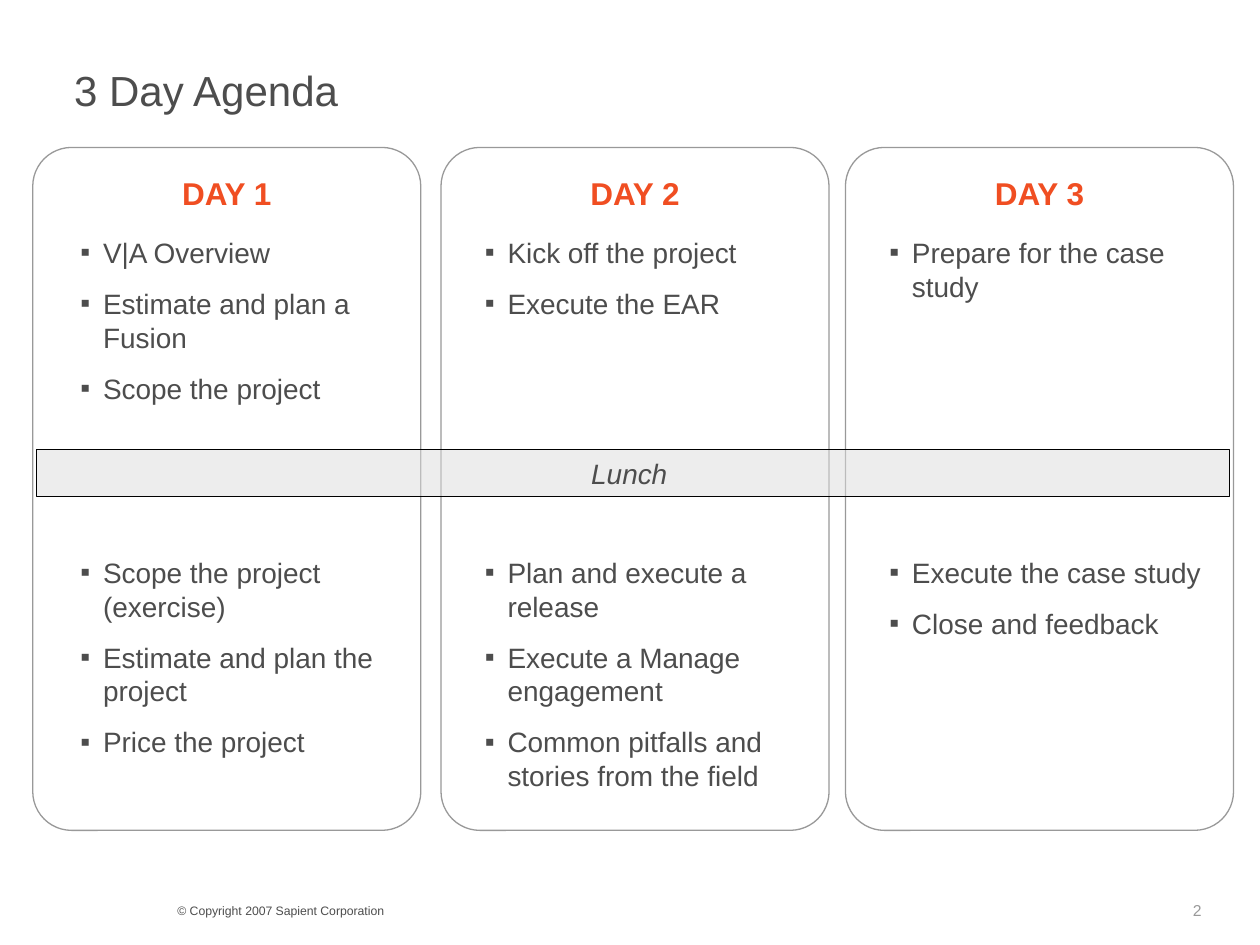
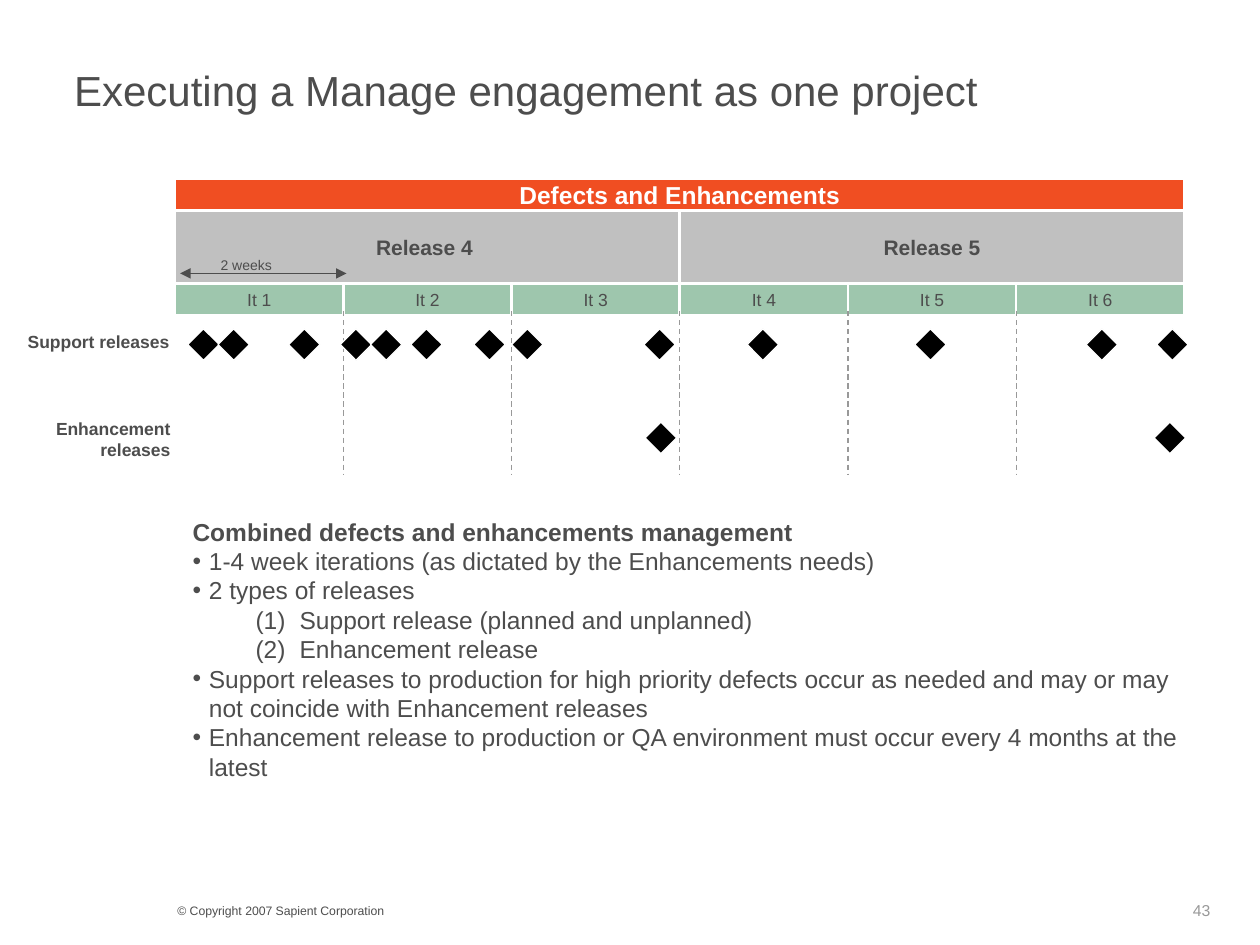
from dataclasses import dataclass

from lxml.etree import SubElement
from pptx import Presentation
from pptx.dml.color import RGBColor
from pptx.enum.dml import MSO_LINE
from pptx.enum.shapes import MSO_CONNECTOR, MSO_SHAPE
from pptx.enum.text import MSO_ANCHOR, PP_ALIGN
from pptx.oxml.ns import qn
from pptx.util import Emu, Inches, Pt

FONT = "Arial"
TEXT, ORANGE, WHITE, BLACK = "4D4D4D", "F04E22", "FFFFFF", "000000"
RULE, SILVER, GREEN, PALE = "999999", "C0C0C0", "9EC6AD", "DDDDDD"
SLIDE_WIDTH, SLIDE_HEIGHT = Inches(10), Inches(7.5)
COLUMN, ROW = SLIDE_WIDTH / 100, SLIDE_HEIGHT / 75
COPYRIGHT = "© Copyright 2007 Sapient Corporation"

DAYS = [
    ("DAY 1",
     ["V|A Overview", "Estimate and plan a Fusion", "Scope the project"],
     ["Scope the project (exercise)", "Estimate and plan the project", "Price the project"]),
    ("DAY 2",
     ["Kick off the project", "Execute the EAR"],
     ["Plan and execute a release", "Execute a Manage engagement",
      "Common pitfalls and stories from the field"]),
    ("DAY 3",
     ["Prepare for the case study"],
     ["Execute the case study", "Close and feedback"]),
]
PANEL_LEFTS = [0, 32.4, 64.5]
DAY_PITCH = 32.1

RELEASES = ["Release 4 ", "Release 5"]
ITERATIONS = 6
SUPPORT_DATES = [1, 3.4, 9, 13.1, 15.5, 18.7, 23.7, 26.7, 37.2, 45.4, 58.7, 72.3, 77.9]
ENHANCEMENT_DATES = [37.3, 77.7]
NOTES = [
    ("Combined defects and enhancements management", "heading"),
    ("1-4 week iterations (as dictated by the Enhancements needs)", "bullet"),
    ("2 types of releases", "bullet"),
    ("Support release (planned and unplanned)", "number"),
    ("Enhancement release", "number"),
    ("Support releases to production for high priority defects occur as needed "
     "and may or may not coincide with Enhancement releases", "bullet"),
    ("Enhancement release to production or QA environment must occur "
     "every 4 months at the latest", "bullet"),
]


@dataclass
class Box:
    """A region measured in grid columns and rows."""
    left: float
    top: float
    width: float
    height: float

    def inside(self, left, top, width, height):
        """Return a box placed relative to this one."""
        return Box(self.left + left, self.top + top, width, height)

    def lengths(self):
        """Return left, top, width and height for a new shape."""
        return [Emu(round(value)) for value in (self.left * COLUMN, self.top * ROW,
                                                self.width * COLUMN, self.height * ROW)]


def rgb(color):
    """Turn a hex string into a colour."""
    return RGBColor.from_string(color)


def set_text(shape, lines, size, color=TEXT, bold=False, italic=False,
             align=PP_ALIGN.LEFT, anchor=MSO_ANCHOR.TOP, wrap=True):
    """Fill a shape with paragraphs of one style."""
    frame = shape.text_frame
    frame.word_wrap = wrap
    frame.vertical_anchor = anchor
    frame.text = "\n".join(lines)
    for paragraph in frame.paragraphs:
        paragraph.alignment = align
        for run in paragraph.runs:
            font = run.font
            font.name, font.size, font.bold, font.italic = FONT, Pt(size), bold, italic
            font.color.rgb = rgb(color)
    return frame


def add_text(slide, box, lines, size, **style):
    """Add a text box and return its text frame."""
    return set_text(slide.shapes.add_textbox(*box.lengths()), lines, size, **style)


def add_block(slide, kind, box, fill, line, line_width):
    """Add a preset shape with its fill and outline."""
    shape = slide.shapes.add_shape(kind, *box.lengths())
    shape.shadow.inherit = False
    if fill:
        shape.fill.solid()
        shape.fill.fore_color.rgb = rgb(fill)
    else:
        shape.fill.background()
    shape.line.color.rgb = rgb(line)
    shape.line.width = Pt(line_width)
    return shape


def add_label_block(slide, box, label, size, fill, **style):
    """Add a white-edged rectangle with a centred label."""
    block = add_block(slide, MSO_SHAPE.RECTANGLE, box, fill, WHITE, 1.5)
    set_text(block, [label], size, align=PP_ALIGN.CENTER, anchor=MSO_ANCHOR.MIDDLE, **style)


def add_line(slide, box, color):
    """Add a thin connector across a box without thickness."""
    left, top, width, height = box.lengths()
    line = slide.shapes.add_connector(MSO_CONNECTOR.STRAIGHT, left, top, left + width, top + height)
    line.line.color.rgb = rgb(color)
    line.line.width = Pt(0.75)
    SubElement(line._element.spPr, qn("a:effectLst"))
    return line


def set_list(paragraph, margin, hanging, character=None):
    """Give a paragraph a hanging bullet, or a number in brackets."""
    properties = paragraph._p.get_or_add_pPr()
    properties.set("marL", str(Inches(margin)))
    properties.set("indent", str(-Inches(hanging)))
    color = SubElement(properties, qn("a:buClr"))
    SubElement(color, qn("a:srgbClr"), val=TEXT)
    if character:
        SubElement(properties, qn("a:buFont"), typeface=FONT)
        SubElement(properties, qn("a:buChar"), char=character)
    else:
        SubElement(properties, qn("a:buAutoNum"), type="arabicParenBoth")


def add_base_slide(presentation, title, number):
    """Add a blank slide with title, copyright line and page number."""
    slide = presentation.slides.add_slide(presentation.slide_layouts[6])
    add_text(slide, Box(13.1, 71.2, 40, 2.2), [COPYRIGHT], 7)
    add_text(slide, Box(93.7, 71, 6.3, 2.4), [str(number)], 9, color=RULE)
    add_text(slide, Box(4.9, 4.4, 90.1, 5.5), [title], 24, anchor=MSO_ANCHOR.MIDDLE)
    return slide


def add_activities(slide, box, activities):
    """Add the bulleted activities of half a day."""
    frame = add_text(slide, box, activities, 16)
    for index, paragraph in enumerate(frame.paragraphs):
        set_list(paragraph, 0.18, 0.18, "▪")
        paragraph.space_before = Pt(10 if index else 0)


def add_agenda(slide, box):
    """Add one panel per day and the lunch band across them."""
    panels = [box.inside(left, 0, 30.8, box.height) for left in PANEL_LEFTS]
    for panel, (day, _, _) in zip(panels, DAYS):
        outline = add_block(slide, MSO_SHAPE.ROUNDED_RECTANGLE, panel, None, RULE, 0.75)
        outline.adjustments[0] = 0.1
        add_text(slide, panel.inside(0, 1.6, panel.width, 4.1), [day], 18,
                 color=ORANGE, bold=True, align=PP_ALIGN.CENTER)

    lunch = add_block(slide, MSO_SHAPE.RECTANGLE, box.inside(0.3, 24, 94.7, 3.7), PALE, BLACK, 0.75)
    fill_color = lunch._element.spPr.find(qn("a:solidFill"))[0]
    SubElement(fill_color, qn("a:alpha"), val="50000")
    set_text(lunch, ["Lunch "], 16, italic=True, align=PP_ALIGN.CENTER, anchor=MSO_ANCHOR.MIDDLE)

    for index, (_, morning, afternoon) in enumerate(DAYS):
        left = 2.8 + index * DAY_PITCH
        add_activities(slide, box.inside(left, 6.5, 28.3, 17), morning)
        add_activities(slide, box.inside(left, 31.9, 28.3, 20), afternoon)


def add_schedule(slide, box):
    """Add the header bands of releases and iterations."""
    release_width = box.width / len(RELEASES)
    for index, release in enumerate(RELEASES):
        add_label_block(slide, box.inside(index * release_width, 2.5, release_width, 5.8),
                        release, 12, SILVER, bold=True)
    add_label_block(slide, box.inside(0, 0, box.width, 2.5), "Defects and Enhancements", 14,
                    ORANGE, color=WHITE, bold=True)
    iteration_width = box.width / ITERATIONS
    for index in range(ITERATIONS):
        left = index * iteration_width
        add_label_block(slide, box.inside(left, 8.3, iteration_width, 2.5),
                        f"It {index + 1}", 10, GREEN)
        if index:
            divider = add_line(slide, box.inside(left, 10.5, 0, 12.9), RULE)
            divider.line.dash_style = MSO_LINE.DASH

    arrow = add_line(slide, box.inside(0.4, 7.5, 13.2, 0), TEXT)
    outline = arrow.line._get_or_add_ln()
    for end in ("a:headEnd", "a:tailEnd"):
        SubElement(outline, qn(end), type="triangle")
    add_text(slide, box.inside(2.6, 5.7, 6.1, 2.4), ["2 weeks"], 8,
             align=PP_ALIGN.CENTER, wrap=False)


def add_milestones(slide, box, label, label_box, dates):
    """Add a row label and a diamond for each release date."""
    add_text(slide, box.inside(*label_box), label, 10, bold=True, align=PP_ALIGN.RIGHT, wrap=False)
    for date in dates:
        add_block(slide, MSO_SHAPE.DIAMOND, box.inside(date, 0, 2.5, 2.5), BLACK, WHITE, 0.75)


def add_notes_text(slide, box):
    """Add the explanation below the schedule."""
    frame = add_text(slide, box, [text for text, _ in NOTES], 14)
    for paragraph, (_, role) in zip(frame.paragraphs, NOTES):
        if role == "heading":
            paragraph.runs[0].font.bold = True
        elif role == "bullet":
            set_list(paragraph, 0.13, 0.13, "•")
        else:
            paragraph.level = 1
            set_list(paragraph, 0.85, 0.35)


def main():
    """Build both slides and save the presentation."""
    presentation = Presentation()
    presentation.slide_width, presentation.slide_height = SLIDE_WIDTH, SLIDE_HEIGHT

    agenda = add_base_slide(presentation, "3 Day Agenda", 2)
    add_agenda(agenda, Box(2.6, 11.7, 95.3, 54.2))

    engagement = add_base_slide(presentation, "Executing a Manage engagement as one project", 43)
    schedule = Box(13.9, 14.2, 80.1, 23.4)
    add_schedule(engagement, schedule)
    add_milestones(engagement, schedule.inside(0, 11.9, 80.1, 2.5), ["Support releases "],
                   (-12.7, -0.3, 13.6, 2.7), SUPPORT_DATES)
    add_milestones(engagement, schedule.inside(0, 19.3, 80.1, 2.5), ["Enhancement ", "releases"],
                   (-10.8, -0.8, 11.4, 4.4), ENHANCEMENT_DATES)
    add_notes_text(engagement, Box(14.3, 40.5, 81, 22))

    presentation.save("out.pptx")


if __name__ == "__main__":
    main()
